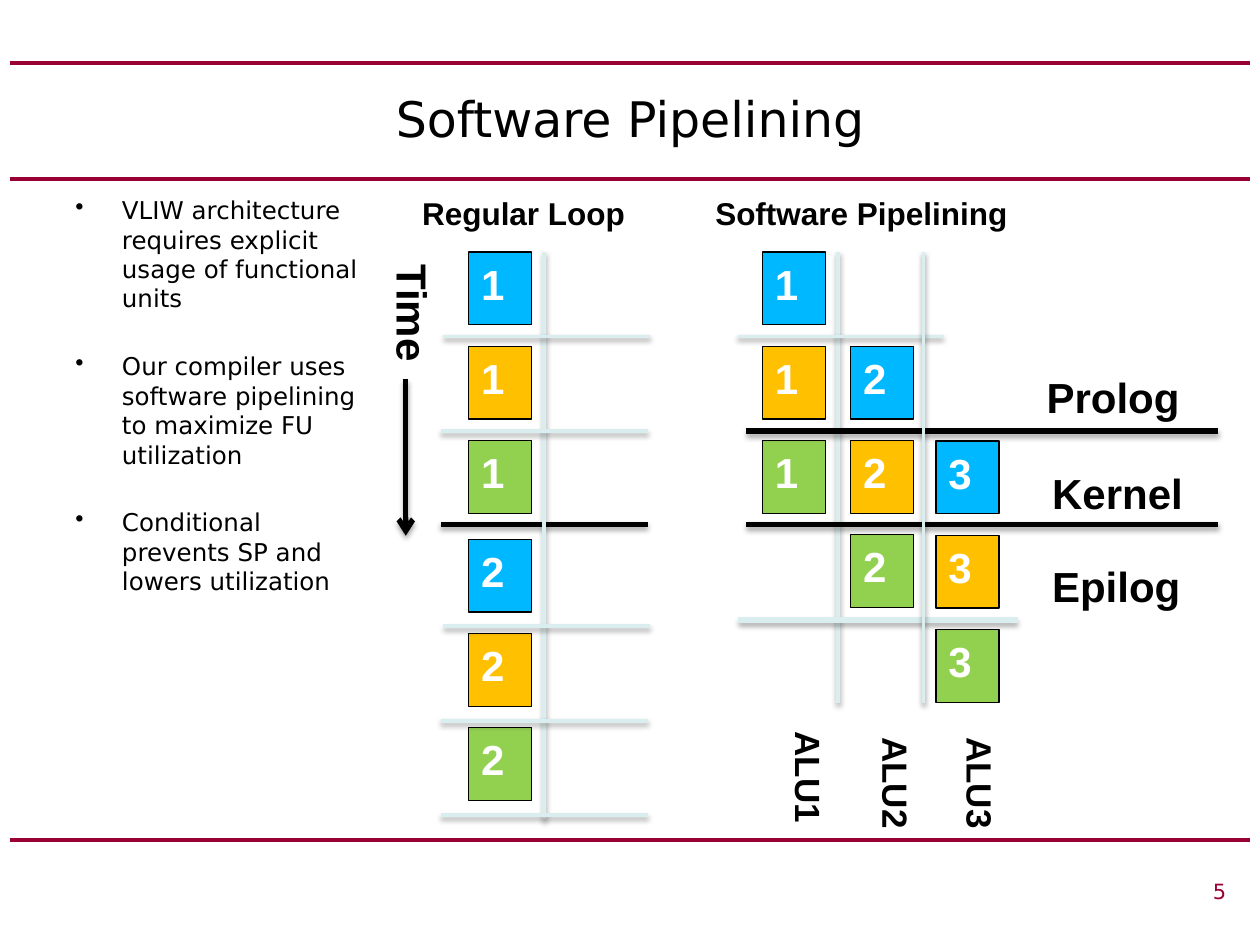
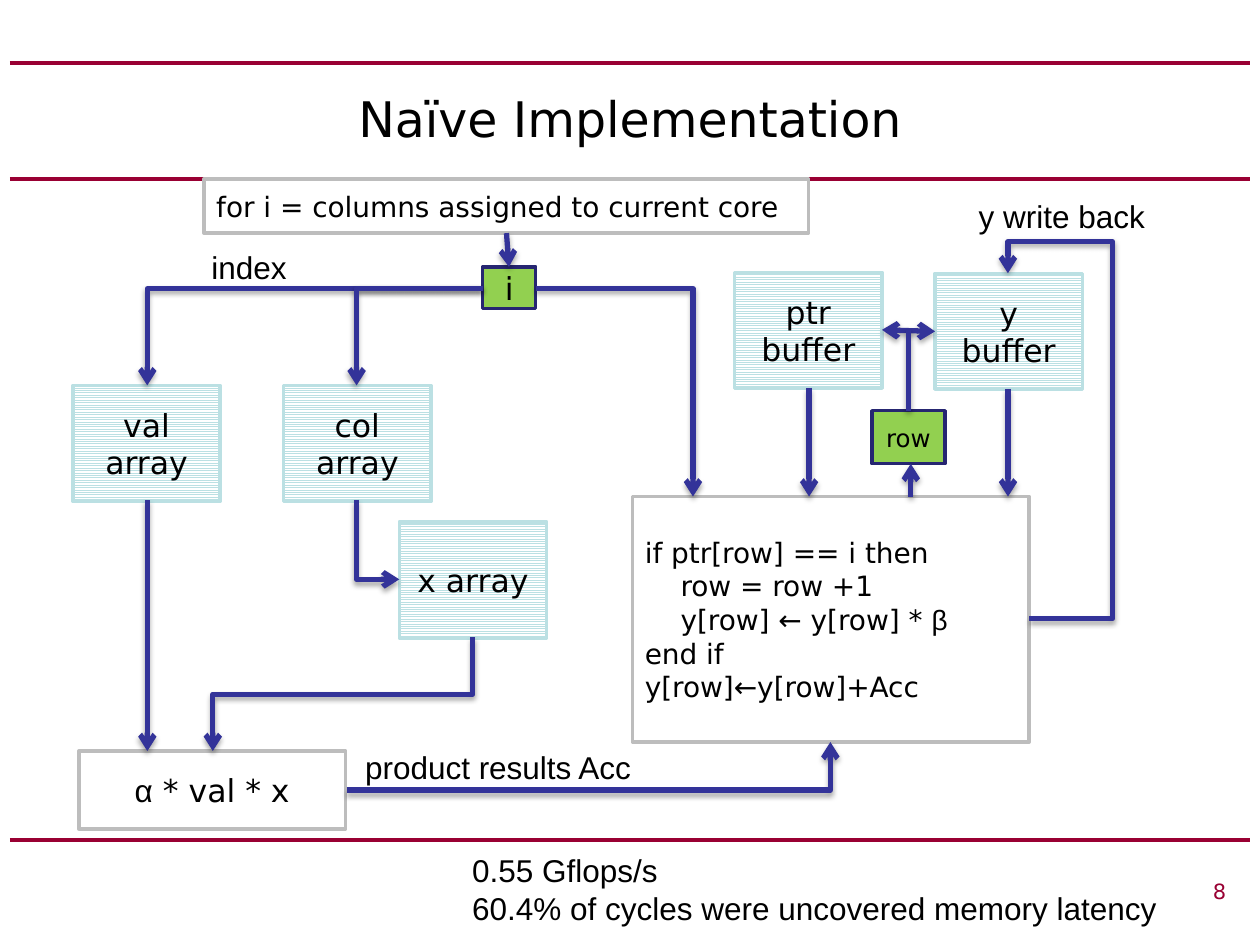
"""Build two slides: software pipelining and a naïve implementation."""
from itertools import groupby

from lxml.etree import SubElement
from pptx import Presentation
from pptx.dml.color import RGBColor
from pptx.enum.dml import MSO_PATTERN
from pptx.enum.shapes import MSO_CONNECTOR as Join, MSO_SHAPE as Kind
from pptx.enum.text import MSO_ANCHOR as Anchor, PP_ALIGN as Align
from pptx.oxml.ns import qn
from pptx.util import Cm, Pt

INK = {
    "band": "990033", "black": "000000", "white": "FFFFFF", "pale": "DAEDEF",
    "blue": "00B8FF", "gold": "FFC000", "green": "92D050", "navy": "262671",
    "link": "333399", "teal": "BBE0E3", "gray": "BDBDBD",
}
SANS, ARIAL = "DejaVu Sans", "Arial"
GREEK = "αβ"

BANDS = [1.27, 3.61, 16.94]

POINTS = [
    "VLIW architecture requires explicit usage of functional units",
    "Our compiler uses software pipelining to maximize FU utilization",
    "Conditional prevents SP and lowers utilization",
]
STAGES = ["blue", "gold", "green"]
CELL, STEP = (1.27, 1.47), 1.9
RUNS = [
    ("1", 9.45, 5.08), ("2", 9.45, 10.87),
    ("1", 15.37, 5.08), ("2", 17.15, 6.98), ("3", 18.87, 8.89),
]
RULES = [
    ("black", 3, 8.89, 10.58, 13.06, 10.58),
    ("pale", 2, 10.97, 5.08, 10.97, 16.51),
    ("pale", 2, 8.94, 6.78, 13.11, 6.78),
    ("pale", 2, 8.89, 8.69, 13.06, 8.69),
    ("pale", 2, 8.94, 12.62, 13.11, 12.62),
    ("pale", 2, 8.89, 14.53, 13.06, 14.53),
    ("pale", 2, 8.89, 16.43, 13.06, 16.43),
    ("pale", 2, 16.89, 5.08, 16.89, 14.17),
    ("pale", 2, 14.88, 6.78, 19.02, 6.78),
    ("black", 3, 15.04, 8.69, 24.56, 8.69),
    ("pale", 3, 14.88, 12.5, 20.52, 12.5),
    ("black", 3, 15.04, 10.58, 24.56, 10.58),
    ("pale", 2, 18.62, 5.08, 18.62, 14.17),
]
TIME = (8.18, 7.65, 8.18, 10.8)
HEADS = [
    ("Regular Loop", 18, (8.26, 3.78, 5.72, 1.02)),
    ("Software Pipelining", 18, (14.17, 3.78, 6.55, 1.02)),
    ("Prolog", 24, (20.85, 7.37, 4.45, 1.27)),
    ("Kernel", 24, (20.96, 9.3, 4.45, 1.27)),
    ("Epilog", 24, (20.96, 11.18, 4.45, 1.27)),
]
SIDES = [
    ("Time", 24, (7.42, 5.08, 1.55, 4.55)),
    ("ALU1", 20, (15.49, 14.5, 1.37, 2.84)),
    ("ALU2", 20, (17.25, 14.61, 1.37, 2.74)),
    ("ALU3", 20, (18.95, 14.61, 1.37, 3.18)),
]

ARRAY = (2.97, 2.34)
ARRAYS = [
    ("val\narray", 1.47, 7.77), ("col\narray", 5.72, 7.77),
    ("x array", 8.05, 10.52), ("y buffer", 18.85, 5.51),
    ("ptr buffer", 14.81, 5.49),
]
CODE = "\n".join([
    "if ptr[row] == i then",
    "\trow = row +1",
    "\ty[row] ← y[row] * β",
    "end if",
    "y[row]←y[row]+Acc",
])
NODES = [
    (CODE, 16, Align.LEFT, "white", "gray", (12.75, 10.01, 8, 4.95)),
    ("i", 18, Align.CENTER, "green", "navy", (9.73, 5.38, 1.07, 0.84)),
    ("α * val * x", 18, Align.CENTER, "white", "gray",
     (1.59, 15.14, 5.38, 1.57)),
    ("row", 14, Align.CENTER, "green", "navy", (17.58, 8.28, 1.47, 1.07)),
    ("for i = columns assigned to current core", 16, Align.LEFT, "white",
     "gray", (4.11, 3.61, 12.19, 1.09)),
]
ARROWS = [
    (2.97, 10.08, 2.97, 15.14), (16.31, 7.82, 16.31, 10.01),
    (20.32, 7.85, 20.32, 10.01), (18.36, 10.01, 18.36, 9.35),
    (10.21, 4.7, 10.26, 5.38),
]
STEM, SPAN = (18.31, 8.28, 18.31, 6.65), (17.78, 6.65, 18.85, 6.68)
ELBOWS = [
    (9.73, 5.82, 2.97, 7.77), (9.73, 5.82, 7.19, 7.77),
    (10.8, 5.82, 13.97, 10.01), (6.99, 15.93, 16.74, 14.96),
]
FETCH = (7.19, 10.08, 8.05, 11.68)
FEED = (9.53, 12.85, 4.29, 15.14)
BACK, BEND = (20.75, 12.47, 20.32, 5.51), (22.43, 4.88)
NOTES = [
    ("product results Acc", (7.11, 14.96, 6.3, 1.02)),
    ("index", (4.01, 4.88, 2.11, 1.02)),
    ("y write back", (19.48, 3.84, 5.08, 1.02)),
    ("0.55 Gflops/s\n60.4% of cycles were uncovered memory latency",
     (9.27, 17.04, 14.86, 1.8)),
]


def tint(name):
    return RGBColor.from_string(INK[name])


def write(shape, text, size, face=SANS, ink="black", bold=False,
          align=Align.LEFT, anchor=Anchor.TOP):
    frame = shape.text_frame
    frame.word_wrap = True
    frame.vertical_anchor = anchor
    for n, line in enumerate(text.split("\n")):
        para = frame.add_paragraph() if n else frame.paragraphs[0]
        para.alignment = align
        font = para.font
        font.name, font.size, font.bold = face, Pt(size), bold
        font.color.rgb = tint(ink)
        if line.startswith("\t"):
            para._p.get_or_add_pPr().set("marL", str(Cm(0.72)))
        for greek, part in groupby(line.strip("\t"), lambda c: c in GREEK):
            run = para.add_run()
            run.text = "".join(part)
            if greek:
                run.font.name = ARIAL
    return frame


def label(slide, text, size, box, **style):
    shape = slide.shapes.add_textbox(*map(Cm, box))
    return write(shape, text, size, **style)


def block(slide, box, fill, edge, width):
    shape = slide.shapes.add_shape(Kind.RECTANGLE, *map(Cm, box))
    shape.shadow.inherit = False
    if fill == "stripes":
        shape.fill.patterned()
        shape.fill.pattern = MSO_PATTERN.LIGHT_HORIZONTAL
        shape.fill.fore_color.rgb = tint("teal")
        shape.fill.back_color.rgb = tint("white")
    else:
        shape.fill.solid()
        shape.fill.fore_color.rgb = tint(fill)
    shape.line.color.rgb = tint(edge)
    shape.line.width = Pt(width)
    return shape


def link(slide, ends, ink="link", width=3, tips=("tailEnd",), shade=True,
         form="line", turn=0, bends=()):
    """Draw a line; a quarter turn swaps the sides of its box."""
    x1, y1, x2, y2 = ends
    if turn:
        mx, my = (x1 + x2) / 2, (y1 + y2) / 2
        w, h = abs(y2 - y1) / 2, abs(x2 - x1) / 2
        w = -w if turn == 270 else w
        x1, y1, x2, y2 = mx - w, my - h, mx + w, my + h
    kind = Join.STRAIGHT if form == "line" else Join.ELBOW
    line = slide.shapes.add_connector(kind, *map(Cm, (x1, y1, x2, y2)))
    line.line.color.rgb = tint(ink)
    line.line.width = Pt(width)
    props = line.element.spPr
    if turn:
        props.find(qn("a:xfrm")).set("rot", str(turn * 60000))
    geom = props.find(qn("a:prstGeom"))
    geom.set("prst", form)
    for n, bend in enumerate(bends, 1):
        SubElement(geom.find(qn("a:avLst")), qn("a:gd"), name=f"adj{n}",
                   fmla=f"val {round(bend * 100000)}")
    for tip in tips:
        SubElement(props.get_or_add_ln(), qn("a:" + tip), type="arrow")
    fx = SubElement(props, qn("a:effectLst"))
    if shade:
        drop = SubElement(fx, qn("a:outerShdw"), blurRad=str(Pt(3.1)),
                          dist=str(Pt(1.8)), dir="5400000", rotWithShape="0")
        tone = SubElement(drop, qn("a:srgbClr"), val=INK["black"])
        SubElement(tone, qn("a:alpha"), val="35000")
    return line


def start(deck, title, number):
    slide = deck.slides.add_slide(deck.slide_layouts[5])
    head = slide.shapes.title
    head.left, head.top, head.width, head.height = map(
        Cm, (1.27, 1.27, 22.86, 2.21))
    write(head, title, 28, align=Align.CENTER, anchor=Anchor.MIDDLE)
    label(slide, number, 12, (7.19, 17.58, 17.78, 0.84), ink="band",
          align=Align.RIGHT)
    return slide


def add_bands(slide):
    tree = slide.slide_layout.element.cSld.spTree
    for y in BANDS:
        band = link(slide, (0.2, y, 25.2, y), "band", 2.25, (), False)
        tree.append(band.element)


def add_points(slide):
    frame = label(slide, "\n".join(POINTS), 14, (1.27, 3.81, 6.35, 12.9))
    for n, para in enumerate(frame.paragraphs):
        para.space_before = Pt(22 if n else 0)
        props = para._p.get_or_add_pPr()
        props.set("marL", str(Cm(0.94)))
        props.set("indent", str(Cm(-0.94)))
        dot = SubElement(props, qn("a:buChar"), char="•")
        props.find(qn("a:defRPr")).addprevious(dot)


def add_loops(slide):
    for mark, x, y in RUNS:
        for n, fill in enumerate(STAGES):
            cell = block(slide, (x, y + n * STEP, *CELL), fill, "black", 0.75)
            write(cell, mark, 24, ARIAL, "white", True)
    for ink, width, *ends in RULES:
        link(slide, ends, ink, width, ())
    link(slide, TIME, "black")
    for text, size, box in HEADS:
        label(slide, text, size, box, face=ARIAL, bold=True)
    for text, size, box in SIDES:
        frame = label(slide, text, size, box, face=ARIAL, bold=True)
        frame._txBody.bodyPr.set("vert", "vert")


def add_flow(slide):
    for text, x, y in ARRAYS:
        shape = block(slide, (x, y, *ARRAY), "stripes", "teal", 2)
        write(shape, text, 18, align=Align.CENTER, anchor=Anchor.MIDDLE)
    for text, size, align, fill, edge, box in NODES:
        shape = block(slide, box, fill, edge, 2)
        write(shape, text, size, align=align, anchor=Anchor.MIDDLE)
    for ends in ARROWS:
        link(slide, ends)
    link(slide, SPAN, tips=("headEnd", "tailEnd"))
    link(slide, STEM, tips=())
    for ends in ELBOWS:
        link(slide, ends, form="bentConnector2")
    link(slide, FETCH, form="bentConnector2", turn=270)
    link(slide, FEED, form="bentConnector3", turn=90)
    x1, y1, x2, y2 = BACK
    bends = (BEND[0] - x1) / (x2 - x1), (BEND[1] - y1) / (y2 - y1)
    link(slide, BACK, form="bentConnector4", bends=bends)
    for text, box in NOTES:
        label(slide, text, 18, box, face=ARIAL)


def main():
    deck = Presentation()
    deck.slide_width, deck.slide_height = Cm(25.4), Cm(19.05)
    loops = start(deck, "Software Pipelining", "5")
    add_bands(loops)
    add_points(loops)
    add_loops(loops)
    add_flow(start(deck, "Naïve Implementation", "8"))
    deck.save("out.pptx")


if __name__ == "__main__":
    main()
